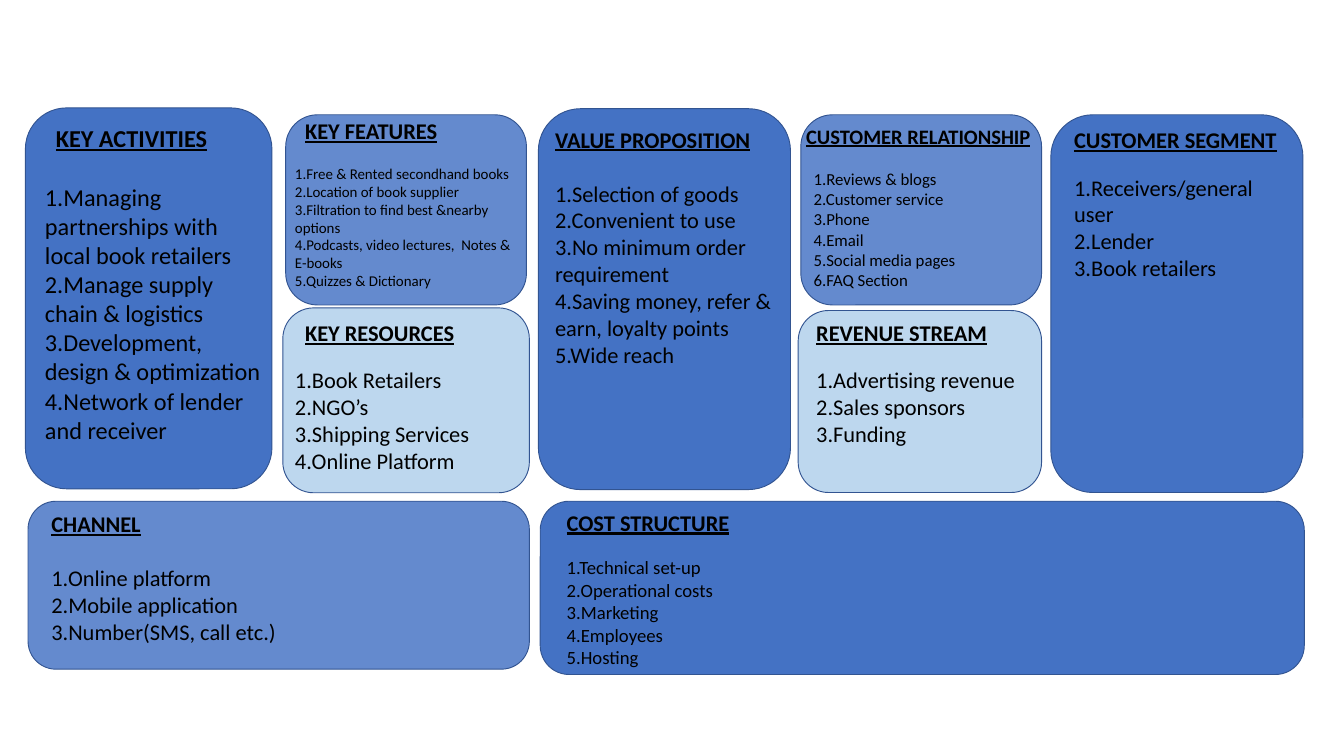
from dataclasses import dataclass

from pptx import Presentation
from pptx.dml.color import RGBColor
from pptx.enum.shapes import MSO_SHAPE
from pptx.enum.text import MSO_AUTO_SIZE
from pptx.util import Cm, Pt

ROUNDED = MSO_SHAPE.ROUNDED_RECTANGLE
GROW = MSO_AUTO_SIZE.SHAPE_TO_FIT_TEXT
BLUE = RGBColor(0x44, 0x72, 0xC4)
MID_BLUE = RGBColor(0x64, 0x8A, 0xCE)
PALE_BLUE = RGBColor(0xBD, 0xD7, 0xEE)
OUTLINE = RGBColor(0x32, 0x54, 0x91)
BLACK = RGBColor(0, 0, 0)
FONT = "Calibri"
LINE_HEIGHT = 1.22
BLANK_LAYOUT = 6


@dataclass
class Card:
    heading: str
    items: list
    box: tuple
    text_box: tuple
    fill: RGBColor
    heading_size: int = 24
    item_size: int = 24
    gap_size: int = 18
    heading_indent: float = 0
    item_indent: float = 0


CARDS = [
    Card("KEY ACTIVITIES",
         ["1.Managing partnerships with local book retailers",
          "2.Manage supply chain & logistics 3.Development, design & "
          "optimization 4.Network of lender and receiver"],
         (0.96, 4.08, 9.32, 14.4), (0.49, 0.45, 8.79, 12.47), BLUE,
         heading_size=26, item_size=26, gap_size=26, heading_indent=0.41),
    Card("KEY FEATURES",
         ["1.Free & Rented secondhand books",
          "2.Location of book supplier",
          "3.Filtration to find best &nearby options",
          "4.Podcasts, video lectures,  Notes & E-books",
          "5.Quizzes & Dictionary"],
         (10.8, 4.34, 9.1, 7.19), (0.1, -0.04, 9.1, 6.83), MID_BLUE,
         item_size=16, heading_indent=0.38),
    Card("KEY RESOURCES",
         ["1.Book Retailers", "2.NGO’s", "3.Shipping Services",
          "4.Online Platform"],
         (10.69, 11.64, 9.32, 6.99), (0.21, 0.3, 9.2, 6.15), PALE_BLUE,
         heading_indent=0.38),
    Card("VALUE PROPOSITION",
         ["1.Selection of goods", "2.Convenient to use",
          "3.No minimum order requirement",
          "4.Saving money, refer & earn, loyalty points",
          "5.Wide reach"],
         (20.35, 4.11, 9.53, 14.4), (0.38, 0.52, 9.32, 9.5), BLUE,
         gap_size=24),
    Card("CUSTOMER RELATIONSHIP",
         ["1.Reviews & blogs", "2.Customer service", "3.Phone", "4.Email",
          "5.Social media pages", "6.FAQ Section"],
         (30.27, 4.34, 9.1, 7.19), (-0.05, 0.21, 9.42, 6.58), MID_BLUE,
         heading_size=22, item_size=18, item_indent=0.28),
    Card("REVENUE STREAM",
         ["1.Advertising revenue", "2.Sales sponsors", "3.Funding"],
         (30.17, 11.74, 9.2, 6.88), (0.43, 0.2, 8.89, 5.13), PALE_BLUE),
    Card("CUSTOMER SEGMENT",
         ["1.Receivers/general user", "2.Lender", "3.Book retailers"],
         (39.72, 4.34, 9.53, 14.28), (0.63, 0.31, 8.26, 6.15), BLUE),
    Card("CHANNEL",
         ["1.Online platform", "2.Mobile application",
          "3.Number(SMS, call etc.)"],
         (1.06, 18.95, 18.95, 6.35), (0.63, 0.21, 17.15, 5.38), MID_BLUE,
         gap_size=24),
    Card("COST STRUCTURE",
         ["1.Technical set-up", "2.Operational costs", "3.Marketing",
          "4.Employees", "5.Hosting"],
         (20.42, 18.95, 28.88, 6.55), (0.75, 0.16, 6.78, 6.32), BLUE,
         item_size=20),
]


def format_paragraph(para, size, indent, is_heading):
    if indent:
        para._p.get_or_add_pPr().set("indent", str(Cm(indent)))
    for span in para.runs:
        span.font.name = FONT
        span.font.size = Pt(size)
        span.font.color.rgb = BLACK
        span.font.bold = is_heading
        span.font.underline = is_heading


def add_panel(page, card):
    panel = page.shapes.add_shape(ROUNDED, *map(Cm, card.box))
    panel.shadow.inherit = False
    panel.fill.solid()
    panel.fill.fore_color.rgb = card.fill
    panel.line.color.rgb = OUTLINE
    panel.line.width = Pt(1)


def add_card_text(page, card):
    left, top = card.box[:2]
    inset_x, inset_y, width, height = card.text_box
    box = page.shapes.add_textbox(Cm(left + inset_x), Cm(top + inset_y),
                                  Cm(width), Cm(height))
    frame = box.text_frame
    frame.word_wrap = True
    frame.auto_size = GROW
    frame.text = "\n".join([card.heading, *card.items])
    heading, *items = frame.paragraphs
    format_paragraph(heading, card.heading_size, card.heading_indent, True)
    heading.space_after = Pt(round(card.gap_size * LINE_HEIGHT))
    for item in items:
        format_paragraph(item, card.item_size, card.item_indent, False)


def main():
    deck = Presentation()
    deck.slide_width = Cm(50.8)
    deck.slide_height = Cm(28.58)
    page = deck.slides.add_slide(deck.slide_layouts[BLANK_LAYOUT])
    for card in CARDS:
        add_panel(page, card)
        add_card_text(page, card)
    deck.save("out.pptx")


if __name__ == "__main__":
    main()
